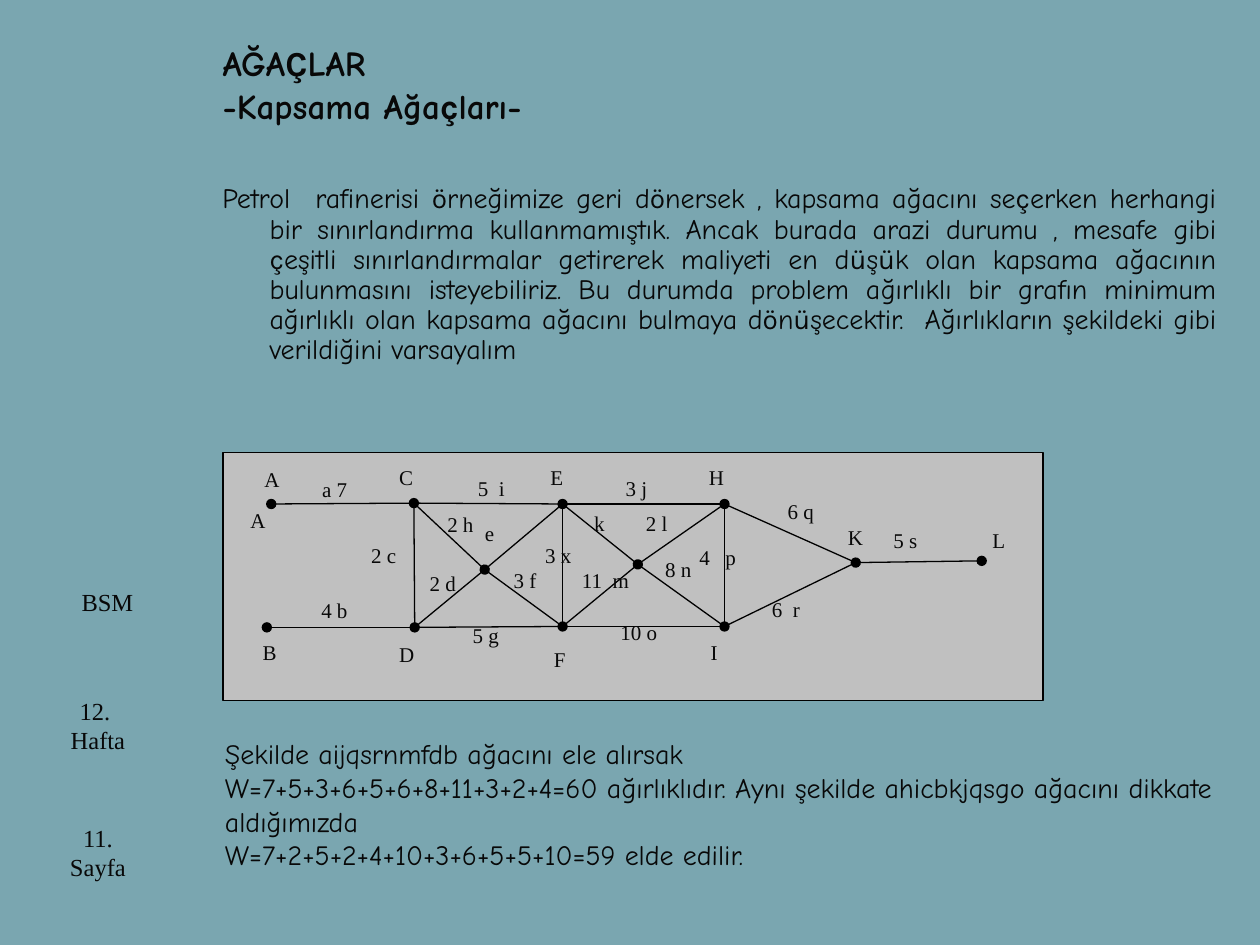
from itertools import groupby

from lxml.etree import SubElement
from pptx import Presentation
from pptx.dml.color import RGBColor
from pptx.enum.shapes import MSO_CONNECTOR, MSO_SHAPE
from pptx.enum.text import MSO_ANCHOR, PP_ALIGN
from pptx.oxml.ns import qn
from pptx.util import Pt

BACKGROUND = RGBColor(0x7A, 0xA6, 0xB0)
PANEL = RGBColor(0xC0, 0xC0, 0xC0)
INK = RGBColor(0x08, 0x08, 0x08)
BLACK = RGBColor(0, 0, 0)
SERIF = "Times New Roman"


def write(p, text, size, bold=False):
    """Add text in Comic Neue, with the letters ç, ö and ü in Karla."""
    for accented, letters in groupby(text, lambda c: c in "ÇçÖöÜü"):
        r = p.add_run()
        r.text = "".join(letters)
        r.font.name = "Karla" if accented else "Comic Neue"
        r.font.size = Pt(size)
        r.font.bold = bold
        r.font.color.rgb = INK


def add_label(s, text, left, top, width, height, size=12, align=PP_ALIGN.LEFT):
    tf = s.shapes.add_textbox(Pt(left), Pt(top), Pt(width), Pt(height)).text_frame
    tf.word_wrap = True
    tf.text = text
    p = tf.paragraphs[0]
    p.alignment = align
    font = p.runs[0].font
    font.name, font.size, font.color.rgb = SERIF, Pt(size), INK


prs = Presentation()
prs.slide_width, prs.slide_height = Pt(720), Pt(540)
s = prs.slides.add_slide(prs.slide_layouts[5])
s.background.fill.solid()
s.background.fill.fore_color.rgb = BACKGROUND

# Title
title = s.shapes.title
title.left, title.top, title.width, title.height = Pt(120), Pt(6), Pt(581), Pt(84)
tf = title.text_frame
tf.vertical_anchor = MSO_ANCHOR.MIDDLE
p = tf.paragraphs[0]
p.alignment = PP_ALIGN.LEFT
write(p, "AĞAÇLAR", 20, bold=True)
p.add_line_break()
write(p, "-Kapsama Ağaçları-", 20, bold=True)

# Introduction with a hanging indent
tf = s.shapes.add_textbox(Pt(120), Pt(102), Pt(582), Pt(414)).text_frame
tf.word_wrap = True
p = tf.paragraphs[0]
p.alignment = PP_ALIGN.JUSTIFY
p.line_spacing = 0.9
pPr = p._p.get_or_add_pPr()
pPr.set("marL", str(Pt(27)))
pPr.set("indent", str(Pt(-27)))
write(p, "Petrol  rafinerisi örneğimize geri dönersek , kapsama ağacını seçerken "
         "herhangi bir sınırlandırma kullanmamıştık. Ancak burada arazi durumu , "
         "mesafe gibi çeşitli sınırlandırmalar getirerek maliyeti en düşük olan "
         "kapsama ağacının bulunmasını isteyebiliriz. Bu durumda problem ağırlıklı "
         "bir grafın minimum ağırlıklı olan kapsama ağacını bulmaya dönüşecektir.  "
         "Ağırlıkların şekildeki gibi verildiğini varsayalım", 16)

# Graph panel
panel = s.shapes.add_shape(MSO_SHAPE.RECTANGLE, Pt(127.5), Pt(258.5), Pt(468.5), Pt(142))
panel.shadow.inherit = False
panel.fill.solid()
panel.fill.fore_color.rgb = PANEL
panel.line.color.rgb = BLACK
panel.line.width = Pt(0.75)

# Graph: M and N are the unnamed crossings
nodes = {
    "A": (155, 288), "C": (236.5, 287.5), "E": (321.5, 288), "H": (414, 288),
    "B": (152.5, 358.5), "D": (237, 358.5), "F": (321.5, 358), "I": (414, 358),
    "M": (277, 325.5), "N": (364.5, 322.5), "K": (489, 321.5), "L": (561, 320.5),
}
edges = "AC CE EH HI HK KI LK IF EF FD CD BD ME MF MD MC NE NH NI NF".split()
dotted = set()
for start, end in edges:
    line = s.shapes.add_connector(MSO_CONNECTOR.STRAIGHT,
                                  *(Pt(v) for v in nodes[start] + nodes[end]))
    line.line.color.rgb = BLACK
    line.line.width = Pt(0.75)
    ln = line.line._get_or_add_ln()
    for tag, node in (("a:headEnd", start), ("a:tailEnd", end)):
        if node not in dotted:  # each node gets one dot
            SubElement(ln, qn(tag), type="oval")
            dotted.add(node)
    SubElement(line._element.spPr, qn("a:effectLst"))

labels = [
    ("A", 144, 263), ("A", 136, 286.5), ("B", 143, 362), ("C", 221, 262),
    ("D", 221, 363), ("E", 307.5, 262), ("F", 309.5, 366), ("H", 398, 262),
    ("I", 399, 362), ("K", 477.5, 296), ("L", 560, 298),
    ("a 7", 177, 269), ("4 b", 176.5, 338), ("2 c", 205, 306.5),
    ("2 d", 238.5, 322.5), ("e", 270, 294), ("3 f", 286.5, 321),
    ("2 h", 248.5, 288.5), ("5  i", 266, 268), ("5 g", 263, 352),
    ("3 j", 350.5, 268), ("k", 332.5, 288), ("2 l", 362, 288),
    ("11  m", 325.5, 320.5), ("3 x", 304.5, 306.5), ("8 n", 373, 314.5),
    ("10 o", 347.5, 350.5), ("4   p", 392.5, 307.5), ("6 q", 443, 281.5),
    ("6  r", 434, 337.5), ("5 s", 503.5, 298),
]
for text, left, top in labels:
    add_label(s, text, left, top, 44, 31)

# Weights of the two trees
tf = s.shapes.add_textbox(Pt(121.5), Pt(417.5), Pt(598.5), Pt(84)).text_frame
tf.word_wrap = True
tf.vertical_anchor = MSO_ANCHOR.MIDDLE
results = [
    "Şekilde aijqsrnmfdb ağacını ele alırsak",
    "W=7+5+3+6+5+6+8+11+3+2+4=60 ağırlıklıdır. Aynı şekilde ahicbkjqsgo ağacını "
    "dikkate aldığımızda",
    "W=7+2+5+2+4+10+3+6+5+5+10=59 elde edilir.",
]
for i, text in enumerate(results):
    p = tf.add_paragraph() if i else tf.paragraphs[0]
    write(p, text, 16)

# Sidebar
add_label(s, "BSM", 39.5, 332, 46, 24.5, 14)
add_label(s, "12.  Hafta", 28, 394, 56, 50, 14, PP_ALIGN.CENTER)
add_label(s, "11. Sayfa", 28, 466.5, 56, 45, 14, PP_ALIGN.CENTER)

prs.save("out.pptx")
